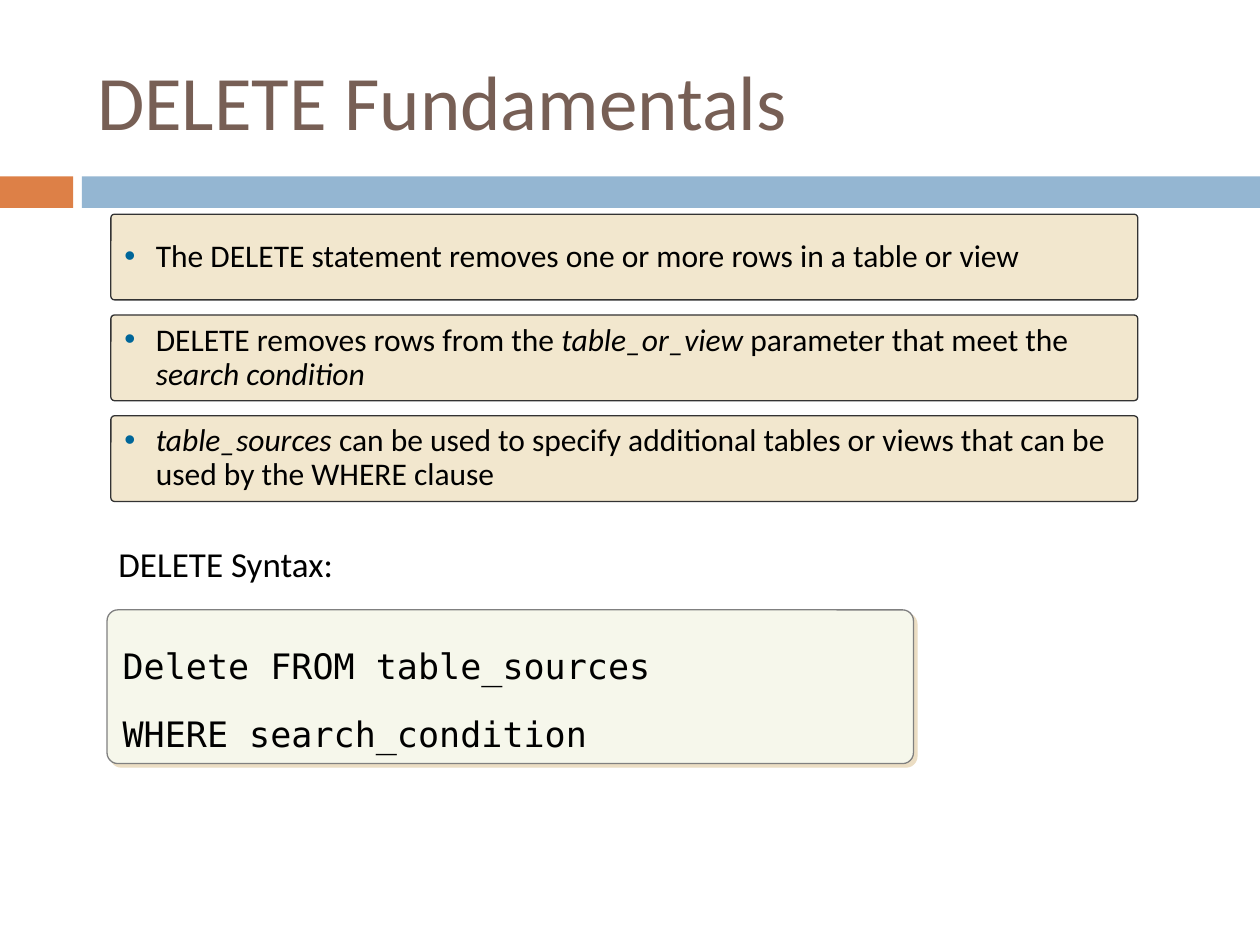
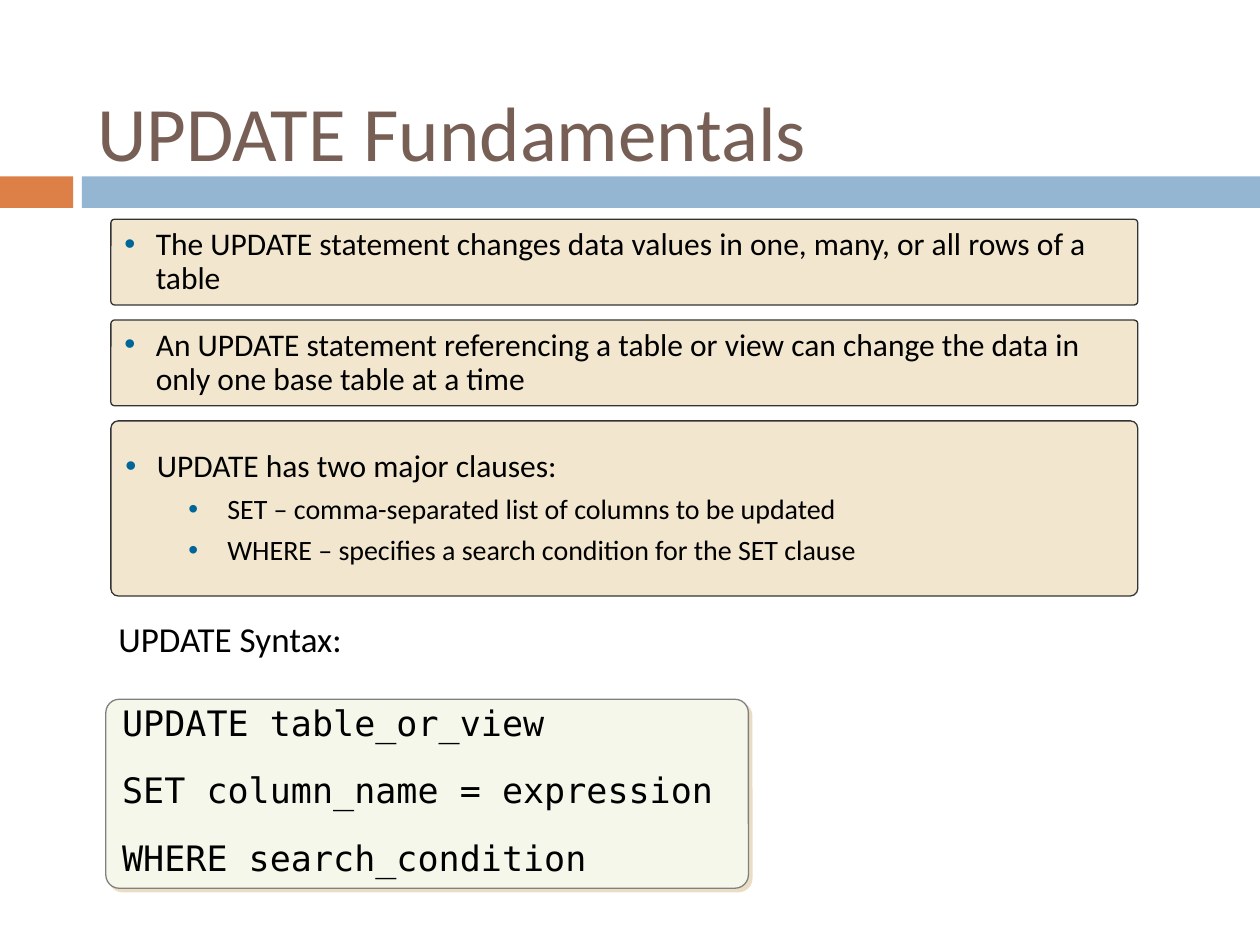
import dataclasses

import lxml.etree
import pptx
import pptx.dml.color
import pptx.enum.shapes
import pptx.enum.text
import pptx.oxml.ns
import pptx.util

Inches = pptx.util.Inches
Pt = pptx.util.Pt
Shape = pptx.enum.shapes.MSO_SHAPE
Anchor = pptx.enum.text.MSO_ANCHOR
qn = pptx.oxml.ns.qn


@dataclasses.dataclass(frozen=True)
class Theme:
    title_color: str = "775F55"
    accent: str = "DD8047"
    band: str = "94B6D2"
    card_fill: str = "F2E7CE"
    card_line: str = "333333"
    code_fill: str = "F6F7EB"
    code_line: str = "808080"
    code_shadow: str = "EBDDC3"
    bullet: str = "006699"
    text: str = "000000"
    font: str = "Calibri"
    code_font: str = "DejaVu Sans Mono"
    title_size: float = 44
    syntax_size: float = 20
    body_size: float = 18
    detail_size: float = 16


THEME = Theme()
CARD_LEFT, CARD_WIDTH, CARD_HEIGHT, CARD_GAP = 0.88, 8.15, 0.68, 0.12


def rgb(color):
    return pptx.dml.color.RGBColor.from_string(color)


def add_bullet(paragraph, margin, hanging):
    properties = paragraph._p.get_or_add_pPr()
    properties.set("marL", str(Inches(margin)))
    properties.set("indent", str(-Inches(hanging)))
    color = lxml.etree.SubElement(properties, qn("a:buClr"))
    lxml.etree.SubElement(color, qn("a:srgbClr"), val=THEME.bullet)
    lxml.etree.SubElement(properties, qn("a:buFont"), typeface="Arial")
    lxml.etree.SubElement(properties, qn("a:buChar"), char="•")


def write_paragraph(frame, text, *, size, font=THEME.font, color=THEME.text,
                    spacing=None, before=0, bullet=None, level=0):
    """Text between asterisks is set in italics."""
    first = not frame.paragraphs[0].runs
    paragraph = frame.paragraphs[0] if first else frame.add_paragraph()
    paragraph.alignment = pptx.enum.text.PP_ALIGN.LEFT
    paragraph.level = level
    if bullet:
        add_bullet(paragraph, *bullet)
    if spacing:
        paragraph.line_spacing = spacing
    if not first:
        paragraph.space_before = Pt(before)
    for index, part in enumerate(text.split("*")):
        if part:
            run = paragraph.add_run()
            run.text = part
            run.font.name = font
            run.font.size = Pt(size)
            run.font.color.rgb = rgb(color)
            run.font.italic = index % 2 == 1


def add_panel(slide, box, fill, line=None, kind=Shape.RECTANGLE, corner=None):
    shape = slide.shapes.add_shape(kind, *map(Inches, box))
    shape.shadow.inherit = False
    shape.fill.solid()
    shape.fill.fore_color.rgb = rgb(fill)
    if line:
        shape.line.color.rgb = rgb(line)
        shape.line.width = Pt(0.75)
    else:
        shape.line.fill.background()
    if corner:
        shape.adjustments[0] = corner
    shape.text_frame.word_wrap = True
    shape.text_frame.vertical_anchor = Anchor.MIDDLE
    return shape


def add_header(slide, text, top):
    add_panel(slide, (0, 1.4, 0.58, 0.25), THEME.accent)
    add_panel(slide, (0.65, 1.4, 9.35, 0.25), THEME.band)
    title = slide.shapes.title
    title.left, title.top, title.width, title.height = map(Inches, (0.67, top, 8.92, 1.08))
    frame = title.text_frame
    frame.auto_size = pptx.enum.text.MSO_AUTO_SIZE.NONE
    frame.vertical_anchor = Anchor.MIDDLE
    write_paragraph(frame, text, size=THEME.title_size, color=THEME.title_color)


def add_card(slide, box, text, details=()):
    card = add_panel(slide, box, THEME.card_fill, THEME.card_line,
                     Shape.ROUNDED_RECTANGLE, 0.042)
    frame = card.text_frame
    write_paragraph(frame, text, size=THEME.body_size, spacing=0.9, bullet=(0.25, 0.25))
    for detail in details:
        write_paragraph(frame, detail, size=THEME.detail_size, spacing=0.9,
                        before=6.4, bullet=(0.81, 0.31), level=1)


def add_cards(slide, top, cards):
    for text, details in cards:
        height = 1.39 if details else CARD_HEIGHT
        add_card(slide, (CARD_LEFT, top, CARD_WIDTH, height), text, details)
        top += height + CARD_GAP


def add_syntax_label(slide, text, top):
    label = slide.shapes.add_textbox(*map(Inches, (0.94, top, 2.92, 0.34)))
    frame = label.text_frame
    frame.word_wrap = True
    frame.margin_left = frame.margin_right = frame.margin_top = frame.margin_bottom = 0
    write_paragraph(frame, text, size=THEME.syntax_size, spacing=0.9)


def add_code(slide, box, lines, top_margin):
    panel = add_panel(slide, box, THEME.code_fill, THEME.code_line,
                      Shape.ROUNDED_RECTANGLE, 0.071)
    effects = panel._element.spPr.find(qn("a:effectLst"))
    shadow = lxml.etree.SubElement(effects, qn("a:outerShdw"), dist=str(Pt(2.8)),
                                   dir="2700000", algn="ctr", rotWithShape="0")
    lxml.etree.SubElement(shadow, qn("a:srgbClr"), val=THEME.code_shadow)
    frame = panel.text_frame
    frame.margin_top = Inches(top_margin)
    for line in lines:
        write_paragraph(frame, line, size=THEME.syntax_size, font=THEME.code_font,
                        spacing=0.8, before=19.5)


def add_statement_slide(presentation, *, statement, title_top, cards_top, cards,
                        label_top, code_box, code, code_margin=0.05):
    slide = presentation.slides.add_slide(presentation.slide_layouts.get_by_name("Title Only"))
    add_header(slide, f"{statement} Fundamentals", title_top)
    add_code(slide, code_box, code, code_margin)
    add_cards(slide, cards_top, cards)
    add_syntax_label(slide, f"{statement} Syntax:", label_top)


def main():
    presentation = pptx.Presentation()
    presentation.slide_width, presentation.slide_height = Inches(10), Inches(7.5)
    add_statement_slide(
        presentation, statement="DELETE", title_top=0.25, cards_top=1.7,
        cards=[
            ("The DELETE statement removes one or more rows in a table or view", ()),
            ("DELETE removes rows from the *table_or_view* parameter that meet the "
             "*search condition*", ()),
            ("*table_sources* can be used to specify additional tables or views "
             "that can be used by the WHERE clause", ()),
        ],
        label_top=4.34, code_box=(0.85, 4.84, 6.4, 1.22), code_margin=0.32,
        code=["Delete FROM table_sources", "WHERE search_condition"])
    add_statement_slide(
        presentation, statement="UPDATE", title_top=0.5, cards_top=1.74,
        cards=[
            ("The UPDATE statement changes data values in one, many, or all rows "
             "of a table", ()),
            ("An UPDATE statement referencing a table or view can change the data "
             "in only one base table at a time", ()),
            ("UPDATE has two major clauses:",
             ("SET – comma-separated list of columns to be updated",
              "WHERE – specifies a search condition for the SET clause")),
        ],
        label_top=4.94, code_box=(0.84, 5.55, 5.1, 1.5),
        code=["UPDATE table_or_view", "SET column_name = expression",
              "WHERE search_condition"])
    presentation.save("out.pptx")


if __name__ == "__main__":
    main()
